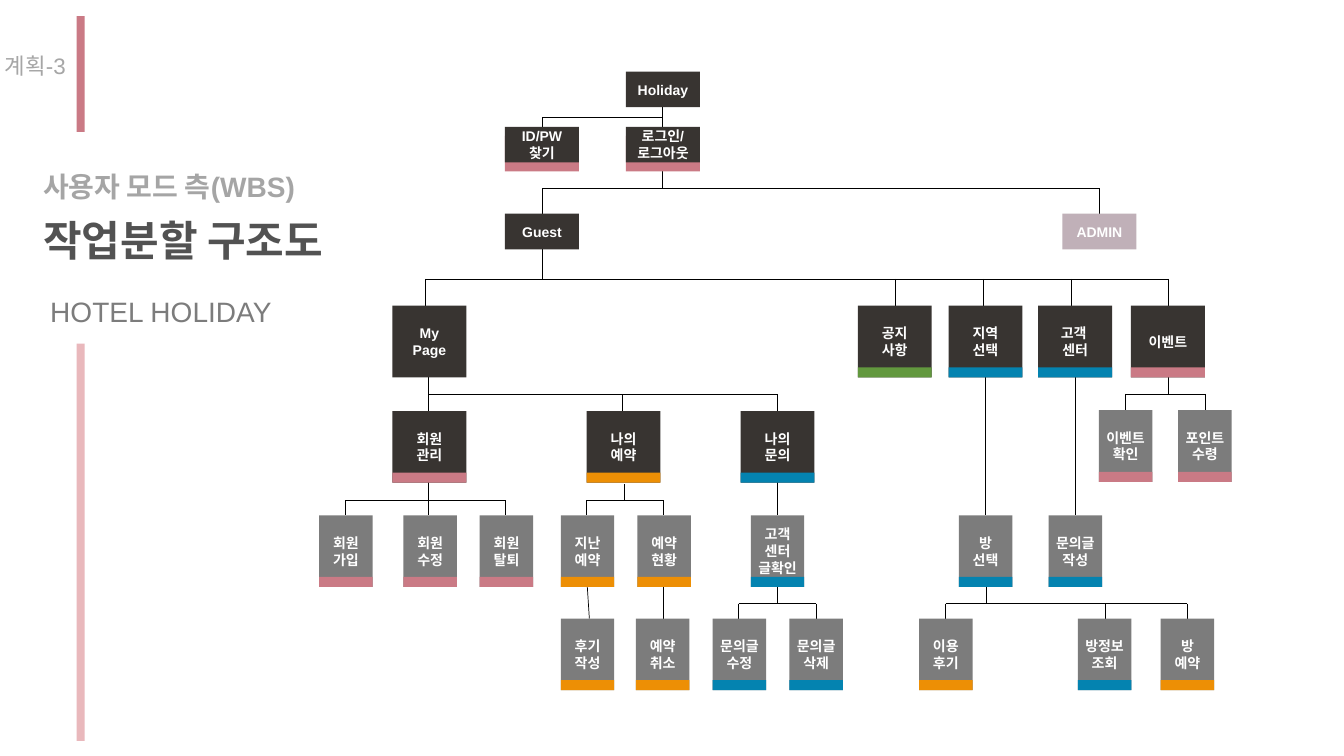
from lxml import etree
from pptx import Presentation
from pptx.dml.color import RGBColor
from pptx.enum.shapes import MSO_CONNECTOR, MSO_SHAPE
from pptx.enum.text import MSO_ANCHOR, MSO_AUTO_SIZE, PP_ALIGN
from pptx.oxml.ns import qn
from pptx.util import Pt

COLORS = {
    "dark": "383431", "gray": "7C7C7C", "mauve": "C0B0B8", "white": "FFFFFF",
    "black": "000000", "pink": "CA7A85", "pale pink": "E9B8BC",
    "orange": "ED8F05", "blue": "0483B0", "green": "62983E",
    "subtitle": "A5A5A5", "title": "525252", "page": "A6A6A6",
}
FONT = "Arial"

# Headings: text, (left, top, width, height), size, colour, bold, wrap
HEADINGS = [
    ("HOTEL HOLIDAY", (28.8, 206.6, 174.2, 31.7), 20, "gray", False, False),
    ("사용자 모드 측(WBS)", (23.8, 117.4, 247, 31.7), 20, "subtitle", True, True),
    ("작업분할 구조도", (23.8, 149.8, 236.9, 43.9), 30, "title", True, False),
    ("계획-3", (-3.6, 33.8, 64.1, 26.6), 16, "page", False, True),
]

# Side bars: (left, top, width, height), colour
SIDE_BARS = [
    ((54.7, 11.5, 5.8, 82.8), "pink"),
    ((54.7, 245.5, 5.8, 283.7), "pale pink"),
]

# Box kinds: width, height, fill
KINDS = {
    "short": (52.8, 25.4, "dark"),
    "admin": (52.8, 25.4, "mauve"),
    "large": (52.8, 51.2, "dark"),
    "small": (38.2, 51.2, "gray"),
}
TAB_HEIGHT = 7.2
SHORT_TAB_DROP = 6.3

# Rows of boxes: top, kind, [(left, label, tab colour)]
ROWS = [
    (51.2, "short", [(447.1, "Holiday", None)]),
    (90.7, "short", [(360.7, "ID/PW\n찾기", "pink"),
                     (447.1, "로그인/\n로그아웃", "pink")]),
    (152.7, "short", [(360.7, "Guest", None)]),
    (152.7, "admin", [(758.9, "ADMIN", None)]),
    (218.4, "large", [(280.3, "My\nPage", None),
                      (612.7, "공지\n사항", "green"),
                      (677.5, "지역\n선택", "blue"),
                      (741.6, "고객 \n센터", "blue"),
                      (807.8, "이벤트", "pink")]),
    (293.6, "large", [(280.3, "회원\n관리", "pink"),
                      (419, "나의\n예약", "orange"),
                      (529, "나의\n문의", "blue")]),
    (293, "small", [(784.9, "이벤트\n확인", "pink"),
                    (841.6, "포인트\n수령", "pink")]),
    (368.1, "small", [(228, "회원\n가입", "pink"),
                      (288.2, "회원\n수정", "pink"),
                      (342.7, "회원\n탈퇴", "pink"),
                      (400.6, "지난\n예약", "orange"),
                      (455.3, "예약\n현황", "orange"),
                      (536.3, "고객\n센터\n글확인", "blue"),
                      (684.9, "방\n선택", "blue"),
                      (749, "문의글\n작성", "blue")]),
    (441.9, "small", [(400.6, "후기\n작성", "orange"),
                      (454.2, "예약\n취소", "orange"),
                      (509.1, "문의글\n수정", "blue"),
                      (563.9, "문의글\n삭제", "blue"),
                      (656.5, "이용\n후기", "orange"),
                      (769.9, "방정보\n조회", "blue"),
                      (829.1, "방\n예약", "orange")]),
]

# Branches: parent x, parent bottom, crossbar y, child top, child xs
BRANCHES = [
    (473.2, 76.3, 83.9, 90.7, [387.4, 473.2]),
    (473.2, 116, 134.6, 152.7, [387.4, 785.2]),
    (387.4, 178.2, 199.2, 218.4, [303.9, 639.4, 702.4, 765.4, 834.4]),
    (306, 269.5, 281.7, 293.4, [306, 444.3, 555.5]),
    (306, 344.5, 357.2, 368.1, [246.8, 306, 360.9]),
    (446.2, 345.6, 357.2, 368.1, [418.9, 473.8]),
    (555.3, 419, 431.2, 441.9, [527.6, 583.1]),
    (704.7, 419, 431.2, 441.9, [675.4, 789.5, 847.9]),
    (834.4, 269.5, 281.4, 293, [804, 860.9]),
]

# Single links: x1, y1, x2, y2
LINKS = [
    (555.3, 344.5, 555.3, 368.1),
    (704, 269.5, 704, 368.1),
    (768.2, 269.5, 768.2, 368.1),
    (473.8, 419, 473.8, 441.9),
    (419.5, 419, 421, 441.9),
]

prs = Presentation()
prs.slide_width, prs.slide_height = Pt(960), Pt(540)
slide = prs.slides.add_slide(prs.slide_layouts[6])


def rgb(name):
    return RGBColor.from_string(COLORS[name])


def write(frame, text, *, size, color, bold=False, align=PP_ALIGN.LEFT):
    frame.text = text
    for paragraph in frame.paragraphs:
        paragraph.alignment = align
        for run in paragraph.runs:
            run.font.name = FONT
            run.font.size = Pt(size)
            run.font.bold = bold
            run.font.color.rgb = rgb(color)


def draw_rect(bounds, color):
    rect = slide.shapes.add_shape(MSO_SHAPE.RECTANGLE, *map(Pt, bounds))
    rect.shadow.inherit = False
    rect.fill.solid()
    rect.fill.fore_color.rgb = rgb(color)
    rect.line.fill.background()
    return rect


def draw_line(*ends):
    line = slide.shapes.add_connector(MSO_CONNECTOR.STRAIGHT, *map(Pt, ends))
    line.line.color.rgb = rgb("black")
    line.line.width = Pt(0.5)
    etree.SubElement(line._element.spPr, qn("a:effectLst"))


def draw_box(left, top, kind, label, tab):
    width, height, fill = KINDS[kind]
    # A short box has its tab behind it, the others on their lower edge
    if tab and kind == "short":
        draw_rect((left, top + SHORT_TAB_DROP, width, height), tab)
    frame = draw_rect((left, top, width, height), fill).text_frame
    frame.margin_left = frame.margin_right = 0
    frame.margin_top = frame.margin_bottom = 0
    frame.vertical_anchor = MSO_ANCHOR.MIDDLE
    frame.word_wrap = True
    write(frame, label, size=10, color="white", bold=True, align=PP_ALIGN.CENTER)
    if tab and kind != "short":
        draw_rect((left, top + height - TAB_HEIGHT, width, TAB_HEIGHT), tab)


# Side bars and headings
for bounds, color in SIDE_BARS:
    draw_rect(bounds, color)
for text, bounds, size, color, bold, wrap in HEADINGS:
    heading = slide.shapes.add_textbox(*map(Pt, bounds)).text_frame
    heading.word_wrap = wrap
    heading.auto_size = MSO_AUTO_SIZE.SHAPE_TO_FIT_TEXT
    write(heading, text, size=size, color=color, bold=bold)

# Connecting lines
for parent_x, parent_bottom, bar_y, child_top, child_xs in BRANCHES:
    draw_line(parent_x, parent_bottom, parent_x, bar_y)
    draw_line(min(child_xs), bar_y, max(child_xs), bar_y)
    for child_x in child_xs:
        draw_line(child_x, bar_y, child_x, child_top)
for link in LINKS:
    draw_line(*link)

# Boxes of the breakdown
for top, kind, boxes in ROWS:
    for left, label, tab in boxes:
        draw_box(left, top, kind, label, tab)

prs.save("out.pptx")
